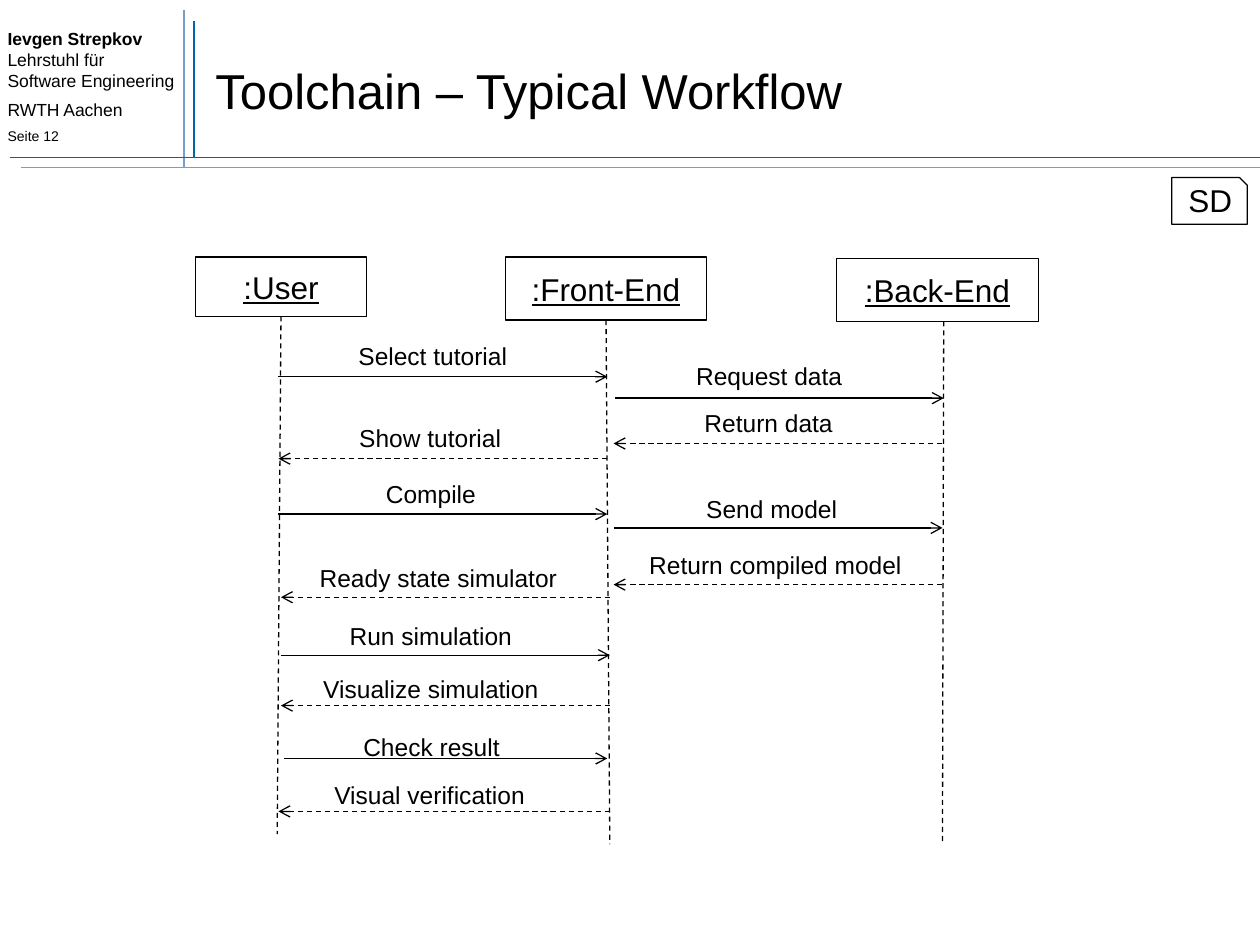
from lxml.etree import SubElement
from pptx import Presentation
from pptx.dml.color import RGBColor
from pptx.enum.dml import MSO_LINE
from pptx.enum.shapes import MSO_CONNECTOR, MSO_SHAPE
from pptx.enum.text import MSO_ANCHOR, MSO_AUTO_SIZE, PP_ALIGN
from pptx.oxml.ns import qn
from pptx.util import Inches, Pt

BLACK = RGBColor(0x00, 0x00, 0x00)
WHITE = RGBColor(0xFF, 0xFF, 0xFF)
DARK_BLUE = RGBColor(0x00, 0x67, 0xA6)
LIGHT_BLUE = RGBColor(0x77, 0x9E, 0xC9)
FONT = "Arial"
LABEL_HEIGHT = 3.4
BOTTOM_SIDE = 2

# Name, box (left, top, width, height), lifeline (top column, foot column, foot row)
PARTICIPANTS = [
    (":User", (15.5, 20.4, 13.6, 4.7), (22.1, 22.0, 66.2)),
    (":Front-End", (40.1, 20.4, 16, 5), (48.2, 48.4, 67)),
    (":Back-End", (66.4, 20.5, 16, 5), (74.9, 74.8, 67)),
]

# Text, label (left, top, width), arrow (left, right, row), reply
MESSAGES = [
    ("Select tutorial", (27.4, 26.6, 13.9), (22.1, 48.2, 29.9), False),
    ("Request data", (54.2, 28.2, 13.7), (48.8, 74.9, 31.6), False),
    ("Return data", (54.9, 31.9, 12.2), (48.7, 74.8, 35.2), True),
    ("Show tutorial", (27.5, 33.1, 13.3), (22.1, 48.2, 36.4), True),
    ("Compile", (29.6, 37.5, 9.2), (22.1, 48.2, 40.8), False),
    ("Send model", (55.0, 38.7, 12.5), (48.7, 74.8, 41.9), False),
    ("Return compiled model", (50.5, 43.2, 22.1), (48.7, 74.8, 46.4), True),
    ("Ready state simulator", (24.3, 44.2, 21.0), (22.3, 48.4, 47.4), True),
    ("Run simulation", (26.7, 48.8, 15.0), (22.3, 48.4, 52.0), False),
    ("Visualize simulation", (24.6, 53.0, 19.2), (22.3, 48.4, 56.0), True),
    ("Check result", (27.8, 57.6, 12.9), (22.5, 48.2, 60.2), False),
    ("Visual verification", (25.5, 61.4, 17.2), (22.1, 48.4, 64.4), True),
]


def cells(*counts):
    """Turn counts of grid cells, 100 across and 75 down, into lengths."""
    return [Inches(count / 10) for count in counts]


def format_font(font, size, bold=False, underline=False):
    """Apply the slide's typeface to a font."""
    font.name, font.size, font.bold = FONT, Pt(size), bold
    font.underline = underline
    font.color.rgb = BLACK


def add_line(slide, start, end, color=BLACK, width=0.75, dashed=False, arrow=False):
    """Draw a straight line between two grid points."""
    line = slide.shapes.add_connector(MSO_CONNECTOR.STRAIGHT, *cells(*start, *end))
    line.line.color.rgb = color
    line.line.width = Pt(width)
    if dashed:
        line.line.dash_style = MSO_LINE.DASH
    if arrow:
        SubElement(line.line._get_or_add_ln(), qn("a:tailEnd"), type="arrow")
    SubElement(line._element.spPr, qn("a:effectLst"))
    return line


def add_outline(slide, preset, area):
    """Draw a white preset shape with a thin black outline."""
    shape = slide.shapes.add_shape(preset, *cells(*area))
    shape.shadow.inherit = False
    shape.fill.solid()
    shape.fill.fore_color.rgb = WHITE
    shape.line.color.rgb = BLACK
    shape.line.width = Pt(0.75)
    return shape


def add_label(slide, text, area, size):
    """Add a centred one-line label."""
    label = slide.shapes.add_textbox(*cells(*area))
    frame = label.text_frame
    frame.text = text
    frame.word_wrap = False
    frame.auto_size = MSO_AUTO_SIZE.SHAPE_TO_FIT_TEXT
    para = frame.paragraphs[0]
    para.alignment = PP_ALIGN.CENTER
    format_font(para.runs[0].font, size)


def add_participant(slide, name, area, lifeline):
    """Add a participant box and the dashed lifeline below it."""
    box = add_outline(slide, MSO_SHAPE.RECTANGLE, area)
    frame = box.text_frame
    frame.text = name
    frame.word_wrap = False
    frame.vertical_anchor = MSO_ANCHOR.MIDDLE
    para = frame.paragraphs[0]
    para.alignment = PP_ALIGN.CENTER
    format_font(para.runs[0].font, 18, underline=True)

    left, top, width, height = area
    head, foot, foot_row = lifeline
    line = add_line(slide, (head, top + height), (foot, foot_row), dashed=True)
    if abs(head - (left + width / 2)) < 0.3:
        line.begin_connect(box, BOTTOM_SIDE)


def add_message(slide, text, label, arrow, reply):
    """Add a call to the right, or a dashed reply to the left, with its label."""
    left, right, row = arrow
    start, end = (right, left) if reply else (left, right)
    add_line(slide, (start, row), (end, row), dashed=reply, arrow=True)
    add_label(slide, text, (*label, LABEL_HEIGHT), 14)


def add_header(slide):
    """Add the author block and the crossing rules."""
    box = slide.shapes.add_textbox(*cells(0, 1.7, 14.9, 10.6))
    frame = box.text_frame
    frame.word_wrap = True
    frame.margin_left = Inches(0.06)
    frame.text = ("Ievgen Strepkov\vLehrstuhl für Software Engineering\n"
                  "RWTH Aachen\nSeite 12")
    for para, size, space in zip(frame.paragraphs, (10, 10, 8), (0, 5, 4)):
        para.space_before = Pt(space)
        for span in para.runs:
            format_font(span.font, size)
    frame.paragraphs[0].runs[0].font.bold = True

    for start, end, color in [
        ((15.4, 12.5), (15.4, 1.7), DARK_BLUE),
        ((14.6, 13.3), (14.6, 0.8), LIGHT_BLUE),
        ((0.8, 12.5), (100, 12.5), DARK_BLUE),
        ((1.7, 13.3), (100, 13.3), LIGHT_BLUE),
    ]:
        add_line(slide, start, end, color, width=1)


def set_title(slide, text):
    """Fill and place the title placeholder."""
    title = slide.shapes.title
    title.left, title.top, title.width, title.height = cells(16.1, 2.5, 82.7, 9.2)
    frame = title.text_frame
    frame.text = text
    frame.auto_size = MSO_AUTO_SIZE.NONE
    frame.vertical_anchor = MSO_ANCHOR.MIDDLE
    para = frame.paragraphs[0]
    para.alignment = PP_ALIGN.LEFT
    format_font(para.runs[0].font, 28)


def main():
    """Build the sequence diagram slide and save the deck."""
    deck = Presentation()
    deck.slide_width, deck.slide_height = cells(100, 75)
    slide = deck.slides.add_slide(deck.slide_layouts[5])
    add_header(slide)
    set_title(slide, "Toolchain – Typical Workflow")
    for participant in PARTICIPANTS:
        add_participant(slide, *participant)
    for message in MESSAGES:
        add_message(slide, *message)
    add_outline(slide, MSO_SHAPE.SNIP_1_RECTANGLE, (93, 14.1, 6, 3.7))
    add_label(slide, "SD", (93.3, 13.9, 5.5, 4), 18)
    deck.save("out.pptx")


if __name__ == "__main__":
    main()
